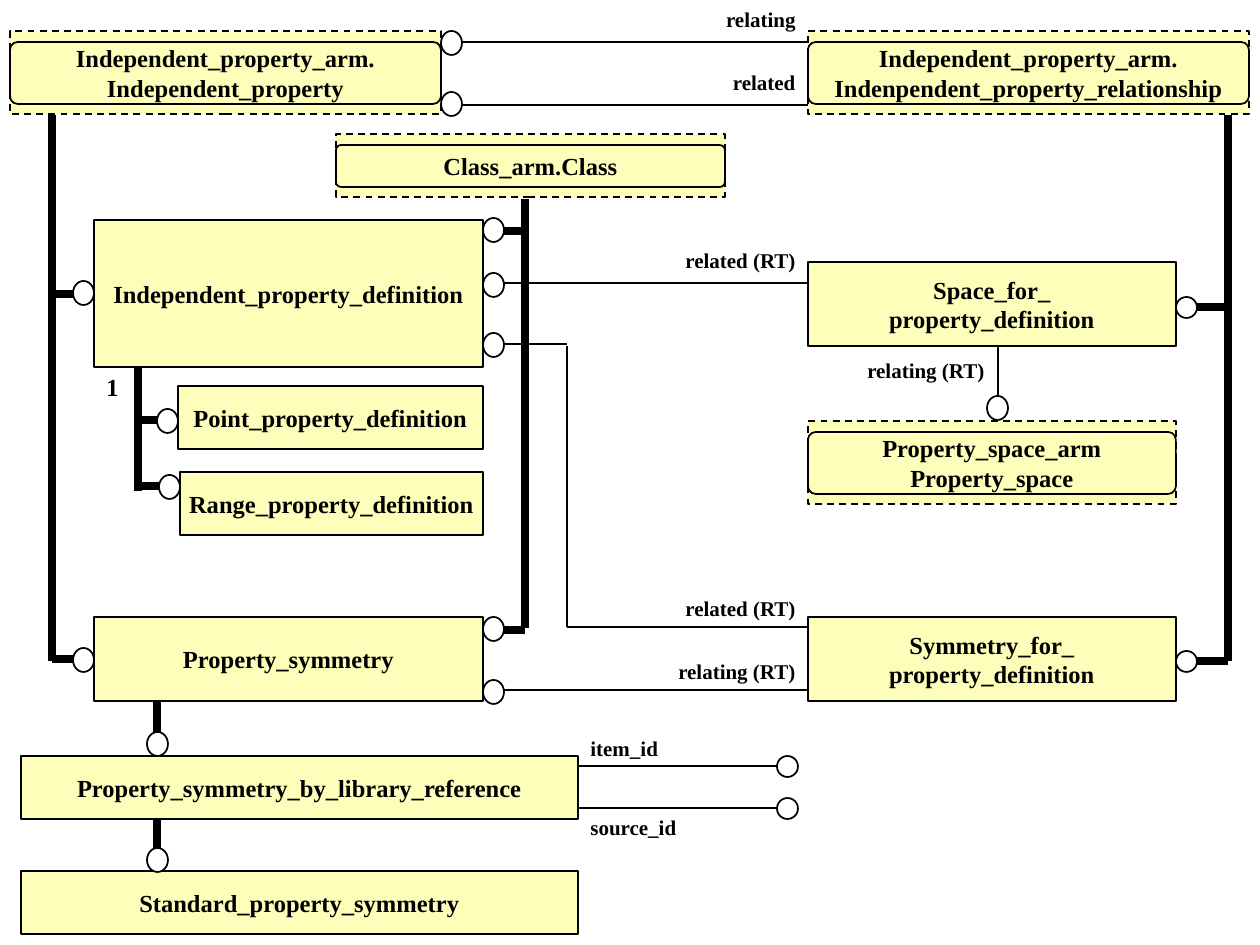
from pptx import Presentation
from pptx.dml.color import RGBColor
from pptx.enum.dml import MSO_LINE
from pptx.enum.shapes import MSO_CONNECTOR, MSO_SHAPE
from pptx.enum.text import MSO_ANCHOR, PP_ALIGN
from pptx.oxml.ns import qn
from pptx.util import Pt
from lxml import etree

RECT, ROUND, OVAL = MSO_SHAPE.RECTANGLE, MSO_SHAPE.ROUNDED_RECTANGLE, MSO_SHAPE.OVAL
STRAIGHT, DASH = MSO_CONNECTOR.STRAIGHT, MSO_LINE.DASH
LEFT, CENTER, RIGHT = PP_ALIGN.LEFT, PP_ALIGN.CENTER, PP_ALIGN.RIGHT
TOP, MIDDLE = MSO_ANCHOR.TOP, MSO_ANCHOR.MIDDLE
PIXEL = 914400 / 126
BLACK = RGBColor.from_string("000000")
WHITE, CREAM = "FFFFFF", "FCFEB9"
THIN, THICK = Pt(0.99), Pt(4.51)

deck = Presentation()
deck.slide_width, deck.slide_height = round(1260 * PIXEL), round(945 * PIXEL)
page = deck.slides.add_slide(deck.slide_layouts[6])


def outline(kind, place, fill=None):
    shape = page.shapes.add_shape(kind, *[round(n * PIXEL) for n in place])
    shape.shadow.inherit = False
    if fill:
        shape.fill.solid()
        shape.fill.fore_color.rgb = RGBColor.from_string(fill)
    else:
        shape.fill.background()
    shape.line.color.rgb = BLACK
    shape.line.width = THIN
    return shape


def write(shape, lines, size, align, anchor):
    frame = shape.text_frame
    frame.word_wrap = False
    frame.vertical_anchor = anchor
    for index, line in enumerate(lines):
        para = frame.paragraphs[0] if index == 0 else frame.add_paragraph()
        para.alignment = align
        span = para.add_run()
        span.text = line
        span.font.name = "Times New Roman"
        span.font.size = Pt(size)
        span.font.bold = True
        span.font.color.rgb = BLACK


# Entities: place, lines of text
entities = [
    ((94, 220, 389, 147), ["Independent_property_definition"]),
    ((178, 386, 305, 63), ["Point_property_definition"]),
    ((180, 472, 303, 63), ["Range_property_definition"]),
    ((94, 617, 389, 84), ["Property_symmetry"]),
    ((21, 756, 557, 63), ["Property_symmetry_by_library_reference"]),
    ((21, 871, 557, 63), ["Standard_property_symmetry"]),
    ((808, 262, 368, 84), ["Space_for_", "property_definition"]),
    ((808, 617, 368, 84), ["Symmetry_for_", "property_definition"]),
]
for place, lines in entities:
    write(outline(RECT, place, CREAM), lines, 14, CENTER, MIDDLE)

# References to other schemas: dashed box with a rounded frame inside
references = [
    ((10, 31, 431, 83), ["Independent_property_arm.", "Independent_property"]),
    ((808, 31, 441, 83),
     ["Independent_property_arm.", "Indenpendent_property_relationship"]),
    ((336, 134, 389, 63), ["Class_arm.Class"]),
    ((808, 421, 368, 83), ["Property_space_arm", "Property_space"]),
]
for place, lines in references:
    box = outline(RECT, place, CREAM)
    box.line.dash_style = DASH
    write(box, lines, 14, CENTER, MIDDLE)
    left, top, width, height = place
    frame = outline(ROUND, (left, top + 11, width, height - 21))
    frame.adjustments[0] = 0.125

# Thick lines for subtypes, thin lines for attributes
subtype_lines = [
    (52, 661, 52, 115), (52, 294, 74, 294), (52, 659, 74, 659),
    (138, 366, 138, 491), (138, 420, 158, 420), (138, 486, 159, 486),
    (525, 628, 525, 199), (504, 231, 525, 231), (504, 630, 525, 630),
    (1228, 661, 1228, 115), (1228, 307, 1197, 307), (1228, 661, 1197, 661),
    (157, 701, 157, 733), (157, 819, 157, 850),
]
attribute_lines = [
    (462, 42, 808, 42), (462, 105, 808, 105), (504, 283, 808, 283),
    (504, 344, 567, 344), (567, 627, 567, 346), (808, 627, 567, 627),
    (504, 690, 808, 690), (998, 346, 998, 399),
    (578, 766, 777, 766), (578, 808, 777, 808),
]
for width, group in ((THICK, subtype_lines), (THIN, attribute_lines)):
    for ends in group:
        line = page.shapes.add_connector(STRAIGHT, *[round(n * PIXEL) for n in ends])
        line.line.color.rgb = BLACK
        line.line.width = width
        etree.SubElement(line._element.spPr, qn("a:effectLst"))

# End circles: left, top, grouped by height
circles = {
    24: [(441, 31), (441, 92), (483, 218), (483, 273), (483, 333), (483, 617),
         (483, 680), (73, 281), (73, 648), (157, 409), (159, 475),
         (147, 732), (147, 848), (987, 396)],
    21: [(1176, 297), (1176, 651), (777, 756), (777, 798)],
}
for height, corners in circles.items():
    for left, top in corners:
        outline(OVAL, (left, top, 21, height), WHITE)

# Labels: place, text, size, alignment
labels = [
    ((703, 0, 105, 38), "relating", 12, RIGHT),
    ((708, 63, 100, 38), "related", 12, RIGHT),
    ((577, 241, 231, 38), "related (RT)", 12, RIGHT),
    ((843, 351, 154, 38), "relating (RT)", 12, RIGHT),
    ((577, 589, 231, 38), "related (RT)", 12, RIGHT),
    ((654, 652, 154, 38), "relating (RT)", 12, RIGHT),
    ((578, 729, 105, 38), "item_id", 12, LEFT),
    ((578, 808, 122, 38), "source_id", 12, LEFT),
    ((94, 366, 42, 42), "1", 14, LEFT),
]
for place, text, size, align in labels:
    label = page.shapes.add_textbox(*[round(n * PIXEL) for n in place])
    write(label, [text], size, align, TOP)

deck.save("out.pptx")
